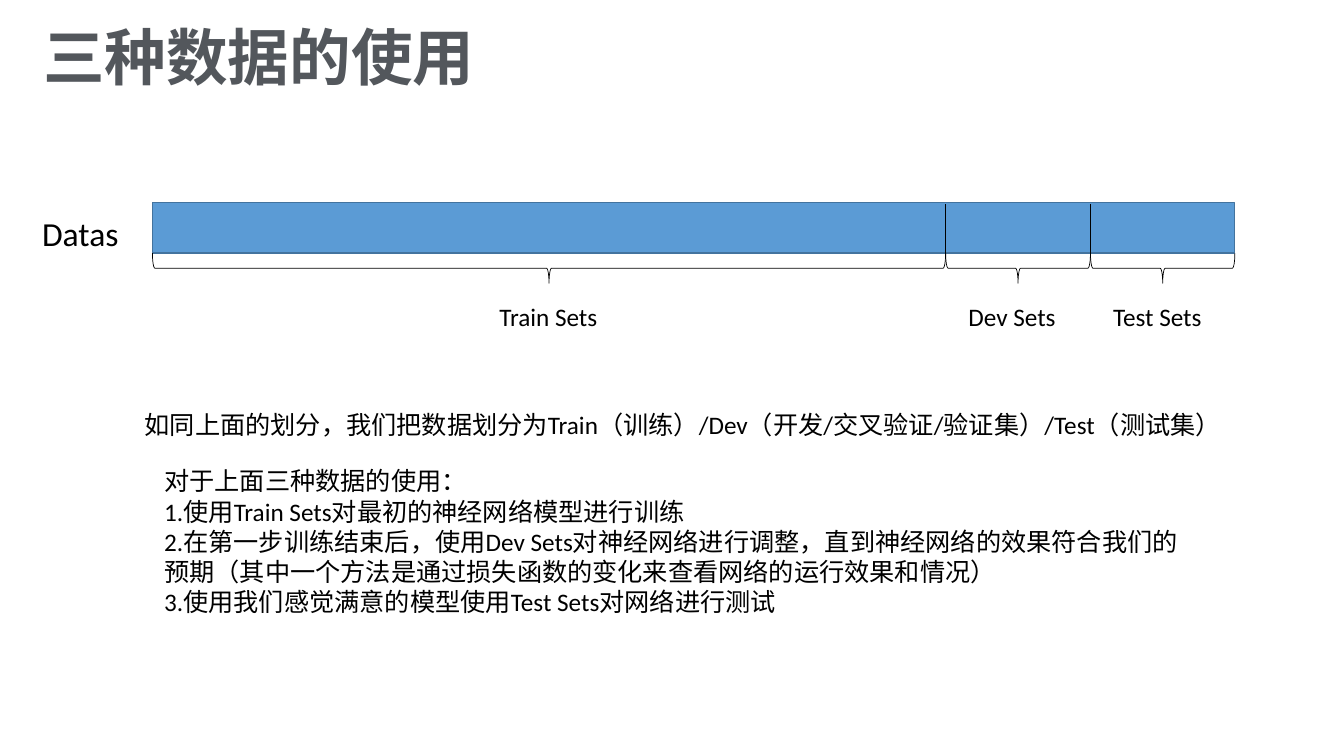
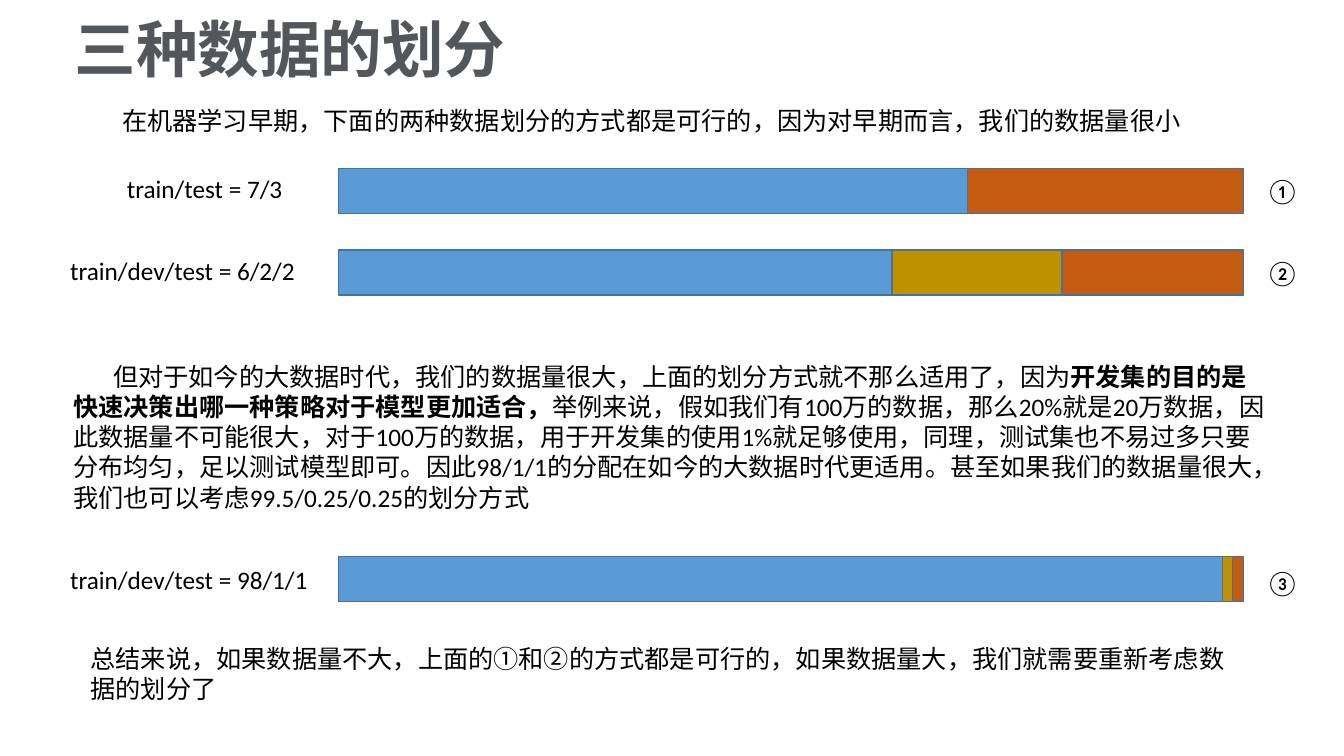
from itertools import pairwise

from lxml.etree import SubElement
from pptx import Presentation
from pptx.dml.color import RGBColor
from pptx.enum.shapes import MSO_CONNECTOR, MSO_SHAPE
from pptx.enum.text import MSO_ANCHOR, MSO_AUTO_SIZE, PP_ALIGN
from pptx.oxml.ns import qn
from pptx.util import Cm, Pt

BLACK = RGBColor(0x00, 0x00, 0x00)
TITLE_GREY = RGBColor(0x53, 0x57, 0x5C)
TRAIN_BLUE = RGBColor(0x5B, 0x9B, 0xD5)
DEV_GOLD = RGBColor(0xBF, 0x90, 0x00)
TEST_ORANGE = RGBColor(0xC5, 0x5A, 0x11)
OUTLINE_BLUE = RGBColor(0x43, 0x73, 0x9E)

TITLE_FONT = {"name": "Calibri", "size": Pt(44), "bold": True}
BODY_FONT = {"name": "Calibri", "size": Pt(18), "bold": False}
TITLE_FRAME = {"auto_size": MSO_AUTO_SIZE.NONE, "word_wrap": False,
               "vertical_anchor": MSO_ANCHOR.MIDDLE}
BODY_FRAME = {"auto_size": MSO_AUTO_SIZE.NONE, "word_wrap": True,
              "vertical_anchor": MSO_ANCHOR.TOP}


def apply(target, values):
    """Set each attribute named in values on the target."""
    for name, value in values.items():
        setattr(target, name, value)


class Deck:
    """Holds the shared style and the current slide; lengths are in cm."""

    def __init__(self):
        """Start a widescreen presentation."""
        self.presentation = Presentation()
        apply(self.presentation, {"slide_width": Cm(33.87), "slide_height": Cm(19.05)})
        self.slide = None

    def add_slide(self, title, left, top):
        """Add a slide with its title placed at left, top."""
        self.slide = self.presentation.slides.add_slide(self.presentation.slide_layouts[5])
        shape = self.slide.shapes.title
        apply(shape, {"left": Cm(left), "top": Cm(top), "width": Cm(11.43), "height": Cm(2.13)})
        apply(shape.text_frame, TITLE_FRAME)
        paragraph = shape.text_frame.paragraphs[0]
        paragraph.alignment = PP_ALIGN.CENTER
        self.add_run(paragraph, title, TITLE_FONT, TITLE_GREY)

    def add_run(self, paragraph, text, font, color=BLACK):
        """Append a formatted run to a paragraph."""
        run = paragraph.add_run()
        run.text = text
        apply(run.font, font)
        run.font.color.rgb = color

    def add_text(self, paragraphs, left, top, width, height=1.02, size=18, indent=0):
        """Add a text box; each paragraph is a list of (text, bold) runs or a string."""
        box = self.slide.shapes.add_textbox(Cm(left), Cm(top), Cm(width), Cm(height))
        frame = box.text_frame
        apply(frame, BODY_FRAME)
        for index, content in enumerate(paragraphs):
            paragraph = frame.add_paragraph() if index else frame.paragraphs[0]
            if indent:
                paragraph._p.get_or_add_pPr().set("indent", str(Cm(indent)))
            runs = [(content, False)] if isinstance(content, str) else content
            for text, bold in runs:
                self.add_run(paragraph, text, BODY_FONT | {"size": Pt(size), "bold": bold})

    def add_bar(self, color, left, top, width, height):
        """Add an outlined, filled rectangle."""
        shape = self.slide.shapes.add_shape(
            MSO_SHAPE.RECTANGLE, Cm(left), Cm(top), Cm(width), Cm(height))
        shape.shadow.inherit = False
        shape.fill.solid()
        shape.fill.fore_color.rgb = color
        shape.line.color.rgb = OUTLINE_BLUE
        shape.line.width = Pt(1)

    def add_split_bar(self, parts, left, top, height):
        """Add adjoining bars from (colour, width) parts."""
        for color, width in parts:
            self.add_bar(color, left, top, width, height)
            left += width

    def add_divider(self, x, top, bottom):
        """Add a thin vertical line."""
        line = self.slide.shapes.add_connector(
            MSO_CONNECTOR.STRAIGHT, Cm(x), Cm(top), Cm(x), Cm(bottom))
        line.line.color.rgb = BLACK
        line.line.width = Pt(0.5)
        SubElement(line._element.spPr, qn("a:effectLst"))

    def add_brace(self, start, end, top, depth):
        """Add a brace pointing down that spans start to end."""
        span = end - start
        shape = self.slide.shapes.add_shape(
            MSO_SHAPE.RIGHT_BRACE, Cm((start + end - depth) / 2),
            Cm(top + (depth - span) / 2), Cm(depth), Cm(span))
        shape.rotation = 90
        shape.shadow.inherit = False
        shape.fill.background()
        shape.line.color.rgb = BLACK
        shape.line.width = Pt(0.5)


def build_usage(deck):
    """Build the slide on how the three sets are used."""
    deck.add_slide("三种数据的使用", 0.81, 0.33)
    edges = [3.84, 23.83, 27.48, 31.12]
    bar_top, bar_height, label_width = 5.11, 1.27, 3
    bar_bottom = bar_top + bar_height
    deck.add_bar(TRAIN_BLUE, edges[0], bar_top, edges[-1] - edges[0], bar_height)
    deck.add_text(["Datas"], 0.81, 5.23, 2.46, 1.27, size=24)
    for x in edges[1:-1]:
        deck.add_divider(x, bar_top + 0.04, bar_bottom)
    for name, (start, end) in zip(["Train Sets", "Dev Sets", "Test Sets"], pairwise(edges)):
        deck.add_brace(start, end, bar_bottom, 0.76)
        deck.add_text([name], (start + end - label_width) / 2, 7.47, label_width)
    deck.add_text(
        ["如同上面的划分，我们把数据划分为Train（训练）/Dev（开发/交叉验证/验证集）/Test（测试集）"],
        3.4, 10.19, 28.91)
    deck.add_text([
        "对于上面三种数据的使用：",
        "1.使用Train Sets对最初的神经网络模型进行训练",
        "2.在第一步训练结束后，使用Dev Sets对神经网络进行调整，直到神经网络的效果符合我们的预期"
        "（其中一个方法是通过损失函数的变化来查看网络的运行效果和情况）",
        "3.使用我们感觉满意的模型使用Test Sets对网络进行测试",
    ], 3.89, 11.61, 26.14, 4.09)


def build_split(deck):
    """Build the slide on how the data is divided."""
    deck.add_slide("三种数据的划分", 1.6, 0.13)
    deck.add_text(
        ["在机器学习早期，下面的两种数据划分的方式都是可行的，因为对早期而言，我们的数据量很小"],
        1.83, 2.54, 30.66, indent=1)
    rows = [
        ("①", "train/test = 7/3", 2.95, 4.24, 4.24,
         [(TRAIN_BLUE, 15.85), (TEST_ORANGE, 6.96)]),
        ("②", "train/dev/test = 6/2/2", 1.52, 6.3, 6.3,
         [(TRAIN_BLUE, 13.95), (DEV_GOLD, 4.29), (TEST_ORANGE, 4.57)]),
        ("③", "train/dev/test = 98/1/1", 1.52, 14.1, 14.02,
         [(TRAIN_BLUE, 22.28), (DEV_GOLD, 0.25), (TEST_ORANGE, 0.28)]),
    ]
    label_right = 8.18
    for number, label, label_left, label_top, bar_top, parts in rows:
        deck.add_split_bar(parts, 8.53, bar_top, 1.14)
        deck.add_text([label], label_left, label_top, label_right - label_left)
        deck.add_text([number], 31.65, label_top + 0.06, 1.2)
    deck.add_text([[
        ("但对于如今的大数据时代，我们的数据量很大，上面的划分方式就不那么适用了，因为", False),
        ("开发集的目的是快速决策出哪一种策略对于模型更加适合，", True),
        ("举例来说，假如我们有100万的数据，那么20%就是20万数据，因此数据量不可能很大，"
         "对于100万的数据，用于开发集的使用1%就足够使用，同理，测试集也不易过多"
         "只要分布均匀，足以测试模型即可。因此98/1/1的分配在如今的大数据时代更适用。"
         "甚至如果我们的数据量很大，我们也可以考虑99.5/0.25/0.25的划分方式", False),
    ]], 1.6, 8.97, 30.66, 4.09, indent=1)
    deck.add_text(
        ["总结来说，如果数据量不大，上面的①和②的方式都是可行的，"
         "如果数据量大，我们就需要重新考虑数据的划分了"],
        2.03, 16.08, 29.62, 1.8)


deck = Deck()
build_usage(deck)
build_split(deck)
deck.presentation.save("out.pptx")
